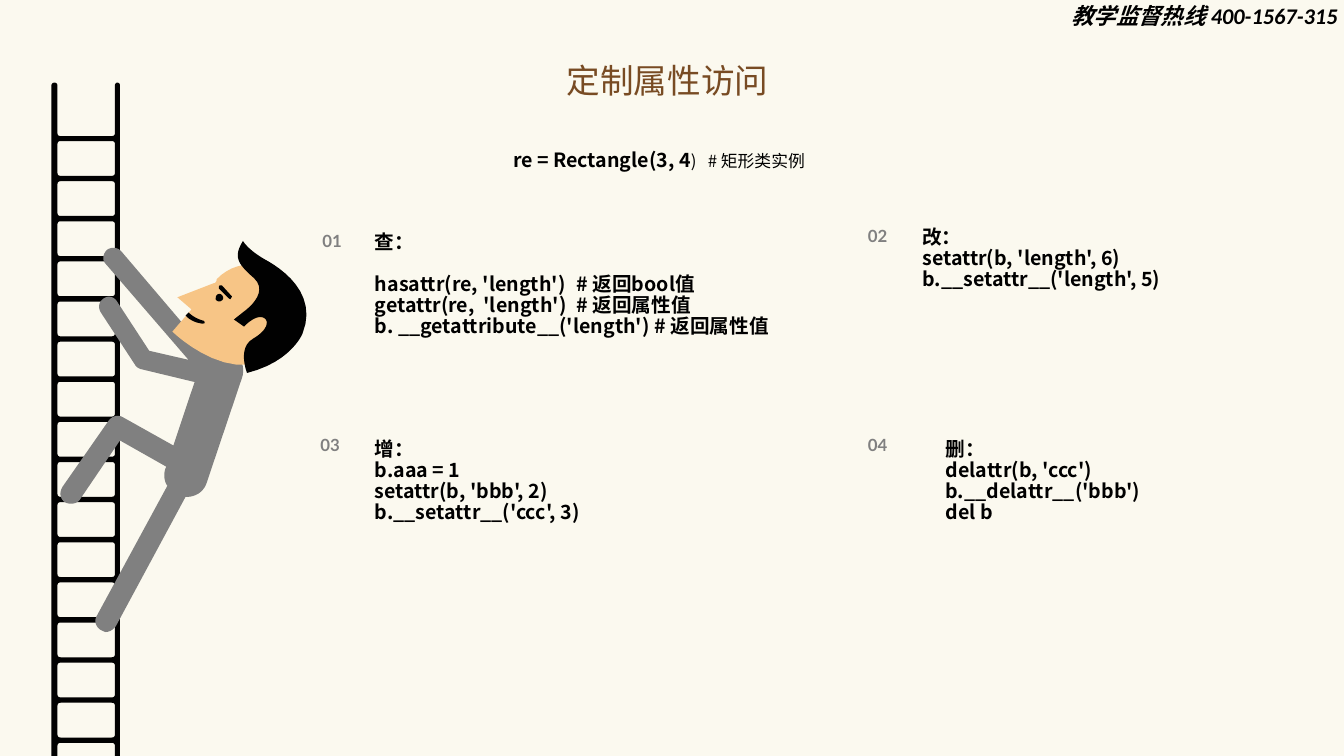
from dataclasses import dataclass
from typing import NamedTuple

from lxml import etree
from pptx import Presentation
from pptx.dml.color import RGBColor
from pptx.enum.shapes import MSO_SHAPE
from pptx.enum.text import MSO_ANCHOR, MSO_AUTO_SIZE, PP_ALIGN
from pptx.oxml.ns import qn
from pptx.util import Inches, Pt

RECTANGLE = MSO_SHAPE.RECTANGLE
LEFT, CENTER = PP_ALIGN.LEFT, PP_ALIGN.CENTER
TOP, MIDDLE = MSO_ANCHOR.TOP, MSO_ANCHOR.MIDDLE
GROW = MSO_AUTO_SIZE.SHAPE_TO_FIT_TEXT


@dataclass(frozen=True)
class Theme:
    paper: str = "F7F2DA"
    paper_alpha: int = 43000
    ink: str = "010101"
    text: str = "000000"
    title: str = "784B23"
    grey: str = "808080"
    skin: str = "F7C586"
    body_font: str = "Noto Sans CJK SC"
    number_font: str = "Lato"
    hotline_font: str = "Calibri"
    title_size: int = 24
    hotline_size: int = 16
    body_size: int = 14
    small_size: int = 12
    leading: Pt = Pt(15)


THEME = Theme()


class Box(NamedTuple):
    left: float
    top: float
    width: float
    height: float


class Section(NamedTuple):
    number: str
    number_box: Box
    text_box: Box
    lines: list[str]
    gap_after_heading: int = 0


class Outline(NamedTuple):
    """A start point, then lines (x, y) and cubic curves (six numbers)."""
    color: str
    start: tuple
    segments: list[tuple]


SECTIONS = [
    Section("01", Box(2.82, 2.26, 0.95, 0.25), Box(3.62, 2.26, 4.33, 1.15),
            ["查：", "hasattr(re, 'length')\t# 返回bool值",
             "getattr(re,  'length')\t# 返回属性值",
             "b. __getattribute__('length') # 返回属性值"], 15),
    Section("02 ", Box(8.25, 2.22, 0.95, 0.24), Box(9.05, 2.21, 3.2, 0.73),
            ["改：", "setattr(b, 'length', 6)", "b.__setattr__('length', 5)"]),
    Section("03 ", Box(2.82, 4.29, 0.95, 0.24), Box(3.62, 4.31, 3.2, 0.94),
            ["增：", "b.aaa = 1", "setattr(b, 'bbb', 2)", "b.__setattr__('ccc', 3)"]),
    Section("04 ", Box(8.25, 4.29, 0.95, 0.24), Box(9.28, 4.31, 3.2, 0.94),
            ["删：", "delattr(b, 'ccc')", "b.__delattr__('bbb')", "del b"]),
]

BODY = Outline(THEME.grey, (2.26, 3.47), [
    (2.19, 3.45, 2.12, 3.47, 2.06, 3.5), (1.2, 2.49),
    (1.16, 2.45, 1.1, 2.45, 1.06, 2.48), (1.02, 2.52, 1.01, 2.58, 1.05, 2.62),
    (1.87, 3.57), (1.48, 3.48), (1.16, 2.99),
    (1.13, 2.94, 1.07, 2.93, 1.03, 2.96), (0.98, 2.99, 0.97, 3.05, 1, 3.1),
    (1.34, 3.62), (1.35, 3.64, 1.37, 3.65, 1.39, 3.66),
    (1.93, 3.79), (1.72, 4.42), (1.22, 4.14),
    (1.17, 4.11, 1.11, 4.13, 1.08, 4.17), (0.62, 4.83),
    (0.59, 4.88, 0.59, 4.94, 0.64, 4.98), (0.69, 5.01, 0.76, 5, 0.79, 4.96),
    (1.19, 4.37), (1.65, 4.63), (1.64, 4.65),
    (1.62, 4.71, 1.63, 4.78, 1.66, 4.82), (0.96, 6.11),
    (0.93, 6.16, 0.95, 6.22, 1, 6.25), (1.02, 6.26, 1.04, 6.27, 1.05, 6.27),
    (1.09, 6.27, 1.13, 6.24, 1.15, 6.21), (1.84, 4.93), (1.85, 4.93),
    (1.94, 4.93, 2.02, 4.88, 2.05, 4.79), (2.4, 3.75),
    (2.44, 3.63, 2.38, 3.51, 2.26, 3.47)])
FACE = Outline(THEME.skin, (2.12, 2.81), [
    (2.13, 2.81), (2.14, 2.8, 2.15, 2.79, 2.15, 2.77),
    (2.32, 2.59, 2.61, 2.57, 2.79, 2.74), (3.02, 2.95, 3.03, 3.22, 2.86, 3.41),
    (2.38, 3.95, 1.71, 3.29, 1.71, 3.29), (1.9, 3.07), (1.76, 2.95)])
HAIR = Outline(THEME.ink, (2.42, 3.09), [
    (2.42, 3.09, 2.68, 2.91, 2.52, 2.76), (2.36, 2.62, 2.31, 2.55, 2.41, 2.39),
    (2.41, 2.39, 2.45, 2.47, 2.62, 2.57), (2.79, 2.66, 3.16, 2.91, 3, 3.31),
    (3, 3.31, 2.89, 3.59, 2.45, 3.7), (2.45, 3.7, 2.35, 3.45, 2.51, 3.36),
    (2.65, 3.28, 2.68, 3.18, 2.61, 3.15), (2.53, 3.12, 2.42, 3.24, 2.42, 3.24),
    (2.32, 3.17)])
EYE = Outline(THEME.ink, (2.16, 2.92), [
    (2.14, 2.93, 2.14, 2.95, 2.14, 2.97), (2.15, 2.99, 2.18, 3, 2.2, 2.98),
    (2.21, 2.98, 2.22, 2.95, 2.21, 2.94), (2.2, 2.92, 2.18, 2.91, 2.16, 2.92)])
BROW = Outline(THEME.ink, (2.18, 2.83), [
    (2.17, 2.84, 2.17, 2.85, 2.17, 2.86), (2.27, 2.96),
    (2.28, 2.97, 2.29, 2.97, 2.29, 2.96), (2.3, 2.95, 2.3, 2.94, 2.3, 2.94),
    (2.2, 2.83), (2.19, 2.83, 2.18, 2.83, 2.18, 2.83)])
MOUTH = Outline(THEME.ink, (2.03, 3.2), [
    (2.03, 3.19, 2.02, 3.18, 2.01, 3.18), (1.94, 3.16, 1.89, 3.12, 1.87, 3.1),
    (1.84, 3.13), (1.85, 3.14), (1.88, 3.17, 1.93, 3.2, 2, 3.21),
    (2.02, 3.21, 2.03, 3.21, 2.03, 3.2)])


def flatten(start: tuple, segments: list[tuple], steps: int = 12) -> list[tuple]:
    """Turn lines and cubic curves into a list of points."""
    points = [start]
    for segment in segments:
        if len(segment) == 2:
            points.append(segment)
            continue
        x0, y0 = points[-1]
        x1, y1, x2, y2, x3, y3 = segment
        for step in range(1, steps + 1):
            t = step / steps
            a, b, c, d = (1 - t) ** 3, 3 * t * (1 - t) ** 2, 3 * t * t * (1 - t), t ** 3
            points.append((a * x0 + b * x1 + c * x2 + d * x3,
                           a * y0 + b * y1 + c * y2 + d * y3))
    return points


def paint(shape, color: str) -> None:
    shape.shadow.inherit = False
    shape.fill.solid()
    shape.fill.fore_color.rgb = RGBColor.from_string(color)
    shape.line.fill.background()


def draw_contours(slide, contours: list[list[tuple]], color: str) -> None:
    first, *holes = [[(Inches(x), Inches(y)) for x, y in c] for c in contours]
    builder = slide.shapes.build_freeform(*first[0])
    builder.add_line_segments(first[1:], close=True)
    for hole in holes:
        builder.move_to(*hole[0])
        builder.add_line_segments(hole[1:], close=True)
    paint(builder.convert_to_shape(), color)


def rounded_gap(left: float, top: float, right: float, bottom: float) -> list[tuple]:
    r, k = 0.03, 0.01
    return flatten((left + r, top), [
        (right - r, top), (right - k, top, right, top + k, right, top + r),
        (right, bottom - r), (right, bottom - k, right - k, bottom, right - r, bottom),
        (left + r, bottom), (left + k, bottom, left, bottom - k, left, bottom - r),
        (left, top + r), (left, top + k, left + k, top, left + r, top)], steps=4)


def draw_ladder(slide) -> None:
    pitch, first_gap, gap_height, gap_count = 0.398, 1.4, 0.345, 17
    outline = flatten((0.51, 0.85), [
        (0.51, 0.81, 0.57, 0.81, 0.57, 0.85), (0.57, 1.32),
        (0.57, 1.34, 0.58, 1.35, 0.6, 1.35), (1.11, 1.35),
        (1.13, 1.35, 1.14, 1.34, 1.14, 1.32), (1.14, 0.85),
        (1.14, 0.81, 1.19, 0.81, 1.19, 0.85), (1.19, 8.63), (1.51, 8.63),
        (1.51, 8.69), (1.14, 8.69), (1.14, 8.17), (0.57, 8.17), (0.57, 8.69),
        (0.2, 8.69), (0.2, 8.63), (0.51, 8.63)])
    tops = [first_gap + row * pitch for row in range(gap_count)]
    gaps = [rounded_gap(0.57, top, 1.14, top + gap_height) for top in tops]
    draw_contours(slide, [outline, *gaps], THEME.ink)


def style_run(run, *, font: str, size: int, color: str, bold: bool, italic: bool) -> None:
    run.font.name, run.font.size = font, Pt(size)
    run.font.bold, run.font.italic = bold, italic
    run.font.color.rgb = RGBColor.from_string(color)
    east_asian = etree.SubElement(run.font._element, qn("a:ea"))
    east_asian.set("typeface", THEME.body_font)


def add_text(slide, box: Box, lines: list[list[tuple[str, dict]]] | list[str], *,
             font: str = THEME.body_font, size: int = THEME.body_size,
             color: str = THEME.text, bold: bool = True, italic: bool = False,
             align=LEFT, anchor=TOP, inset: tuple = (0.1, 0.05),
             leading=THEME.leading, gap_after_first: int = 0, grow: bool = True) -> None:
    """Each line is a string, or a list of (text, changed format) runs."""
    frame = slide.shapes.add_textbox(*map(Inches, box)).text_frame
    frame.word_wrap, frame.vertical_anchor = True, anchor
    frame.margin_left = frame.margin_right = Inches(inset[0])
    frame.margin_top = frame.margin_bottom = Inches(inset[1])
    if grow:
        frame.auto_size = GROW
    base = dict(font=font, size=size, color=color, bold=bold, italic=italic)
    for index, line in enumerate(lines):
        paragraph = frame.add_paragraph() if index else frame.paragraphs[0]
        paragraph.alignment, paragraph.line_spacing = align, leading
        if index == 1 and gap_after_first:
            paragraph.space_before = Pt(gap_after_first)
        for text, changes in [(line, {})] if isinstance(line, str) else line:
            run = paragraph.add_run()
            run.text = text
            style_run(run, **(base | changes))


def main() -> None:
    deck = Presentation()
    deck.slide_width, deck.slide_height = Inches(13.33), Inches(7.5)
    slide = deck.slides.add_slide(deck.slide_layouts[6])

    # Tinted paper and hotline
    paper = slide.shapes.add_shape(RECTANGLE, 0, 0, deck.slide_width, deck.slide_height)
    paint(paper, THEME.paper)
    tint = paper._element.spPr.find(qn("a:solidFill"))[0]
    etree.SubElement(tint, qn("a:alpha")).set("val", str(THEME.paper_alpha))
    add_text(slide, Box(10.53, 0, 2.88, 0.39), ["教学监督热线 400-1567-315"],
             font=THEME.hotline_font, size=THEME.hotline_size, italic=True,
             leading=0.9, grow=False)

    # Ladder and climber
    draw_ladder(slide)
    for part in (BODY, FACE, HAIR, EYE, BROW, MOUTH):
        draw_contours(slide, [flatten(part.start, part.segments)], part.color)

    # Title and example instance
    add_text(slide, Box(5.45, 0.55, 2.34, 0.5), ["定制属性访问"], size=THEME.title_size,
             color=THEME.title, bold=False, align=CENTER, leading=1.0)
    add_text(slide, Box(4.99, 1.44, 3.26, 0.31), [[
        ("re = Rectangle(3, 4", {}),
        (")   # 矩形类实例", dict(size=THEME.small_size, bold=False))]])

    # Four numbered sections
    for section in SECTIONS:
        add_text(slide, section.number_box, [section.number], font=THEME.number_font,
                 size=THEME.small_size, color=THEME.grey, align=CENTER,
                 anchor=MIDDLE, inset=(0.05, 0.03))
        add_text(slide, section.text_box, section.lines,
                 gap_after_first=section.gap_after_heading)

    deck.save("out.pptx")


if __name__ == "__main__":
    main()
